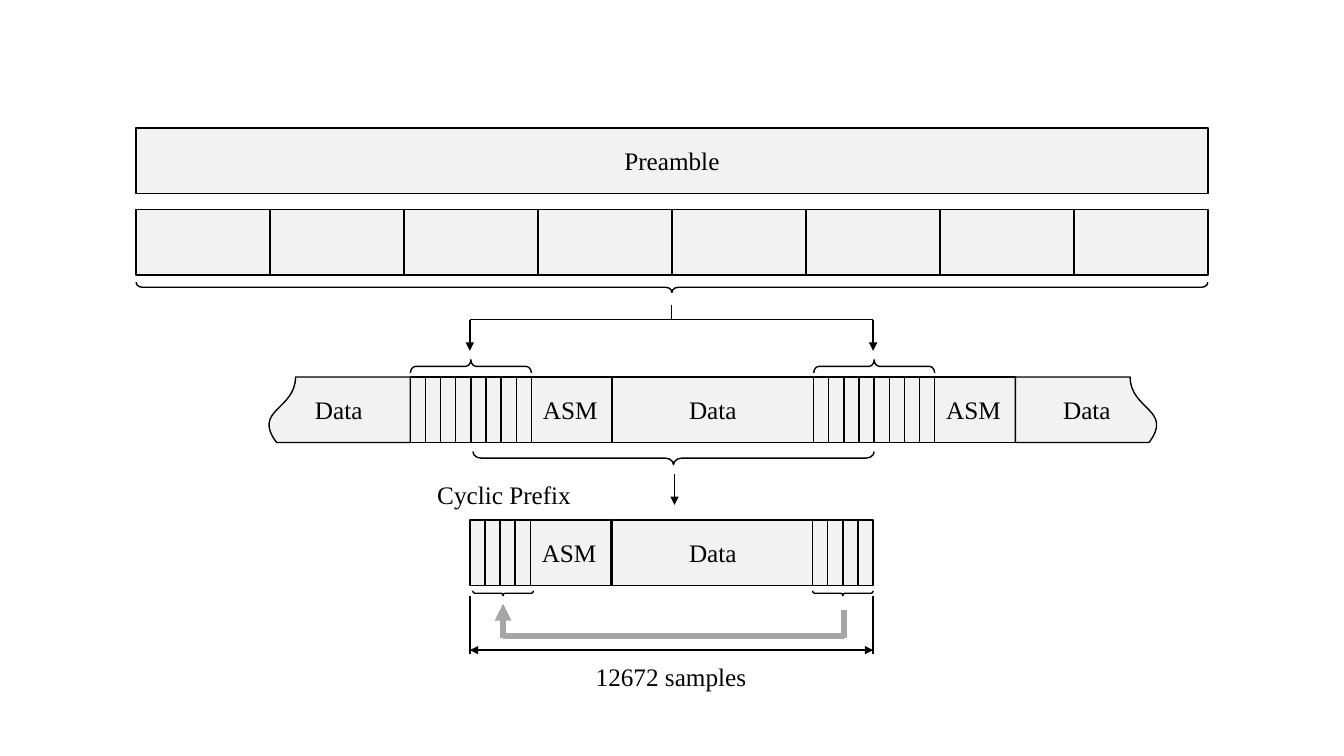
from lxml.etree import SubElement
from pptx import Presentation
from pptx.dml.color import RGBColor
from pptx.enum.shapes import MSO_CONNECTOR, MSO_SHAPE
from pptx.enum.text import MSO_ANCHOR, PP_ALIGN
from pptx.oxml.ns import qn
from pptx.util import Inches, Pt

BLACK = RGBColor(0x00, 0x00, 0x00)
LIGHT_GREY = RGBColor(0xF2, 0xF2, 0xF2)
MID_GREY = RGBColor(0xA6, 0xA6, 0xA6)
FONT = "Times New Roman"

BAR_HEIGHT = 0.65
STRIPE = 0.15
ASM_WIDTH = 0.83
DATA_WIDTH = 2
PERIOD = 4  # distance between two preambles in the frame


def write(shape, text):
    """Put one centred line of text in a shape."""
    frame = shape.text_frame
    frame.text = text
    paragraph = frame.paragraphs[0]
    paragraph.alignment = PP_ALIGN.CENTER
    font = paragraph.runs[0].font
    font.name, font.size = FONT, Pt(18)
    font.color.rgb = BLACK


def add_label(slide, left, top, width, text):
    box = slide.shapes.add_textbox(
        Inches(left), Inches(top), Inches(width), Inches(0.4))
    box.text_frame.word_wrap = True
    write(box, text)


def add_outline(slide, kind, left, top, width, height, fill=None):
    shape = slide.shapes.add_shape(
        kind, Inches(left), Inches(top), Inches(width), Inches(height))
    shape.shadow.inherit = False
    shape.line.color.rgb = BLACK
    shape.line.width = Pt(1)
    if fill is None:
        shape.fill.background()
    else:
        shape.fill.solid()
        shape.fill.fore_color.rgb = fill
    return shape


def add_turned(slide, kind, left, top, width, height, rotation, fill=None):
    """Add a quarter-turned shape that covers the given box once turned."""
    shift = (width - height) / 2
    shape = add_outline(slide, kind, left + shift, top - shift, height, width, fill)
    shape.rotation = rotation
    return shape


def add_bar(slide, left, top, width, text=""):
    bar = add_outline(slide, MSO_SHAPE.RECTANGLE, left, top, width, BAR_HEIGHT, LIGHT_GREY)
    if text:
        write(bar, text)
        bar.text_frame.vertical_anchor = MSO_ANCHOR.MIDDLE


def add_cells(slide, left, top, width, count):
    for index in range(count):
        add_bar(slide, left + index * width, top, width)


def add_brace(slide, left, top, width, height, curve, rotation=270):
    brace = add_turned(slide, MSO_SHAPE.LEFT_BRACE, left, top, width, height, rotation)
    brace.adjustments[0] = curve
    brace.adjustments[1] = 0.5


def add_line(slide, start, end, color=BLACK, width=1, ends=()):
    """Draw a straight line; ends may hold headEnd and tailEnd."""
    line = slide.shapes.add_connector(
        MSO_CONNECTOR.STRAIGHT, *(Inches(value) for value in (*start, *end)))
    line.line.color.rgb = color
    line.line.width = Pt(width)
    for end_name in ends:
        SubElement(line.line._get_or_add_ln(), qn(f"a:{end_name}"), type="triangle")
    SubElement(line._element.spPr, qn("a:effectLst"))


def add_preamble(slide, left, top, width):
    """Preamble bar, its eight parts and the brace below."""
    add_cells(slide, left, top + 0.81, width / 8, 8)
    add_bar(slide, left, top, width, "Preamble")
    add_brace(slide, left, top + 1.53, width, 0.1, 0.625)


def add_fork(slide, left, top, width):
    """Stem that splits into two arrows."""
    middle, bar_top = left + width / 2, top + 0.14
    add_line(slide, (middle, top), (middle, bar_top))
    add_line(slide, (left, bar_top), (left + width, bar_top))
    for x in (left, left + width):
        add_line(slide, (x, bar_top), (x, top + 0.45), ends=["tailEnd"])


def add_torn_data(slide, left, top, rotation, flipped=False):
    """Data piece with a wavy outer edge."""
    width = 1.42
    piece = add_turned(slide, MSO_SHAPE.FLOWCHART_DOCUMENT, left, top,
                       width, BAR_HEIGHT, rotation, LIGHT_GREY)
    if flipped:
        piece._element.spPr.find(qn("a:xfrm")).set("flipH", "1")
    add_label(slide, left + 0.2, top + 0.12, width - 0.4, "Data")


def add_frame(slide, left, top):
    """Data stream with two preambles; left is the first preamble's edge."""
    asm_left = left + 1.17
    data_left = asm_left + ASM_WIDTH
    add_bar(slide, data_left, top, DATA_WIDTH, "Data")
    for offset in (0, PERIOD):
        add_bar(slide, asm_left + offset, top, ASM_WIDTH, "ASM")
    add_torn_data(slide, data_left + PERIOD, top, 270)
    add_torn_data(slide, left - 1.42, top, 90, flipped=True)
    for offset in (0, PERIOD):
        add_cells(slide, left + offset, top, STRIPE, 8)
        add_brace(slide, left + offset, top - 0.17, 8 * STRIPE, 0.13, 0.398, 90)
    # Span of one symbol
    add_brace(slide, left + 0.62, top + 0.74, 3.98, 0.13, 0.625)
    middle = left + 2.62
    add_line(slide, (middle, top + 0.96), (middle, top + 1.27), ends=["tailEnd"])


def add_symbol(slide, left, top, width):
    """One symbol with its cyclic prefix, copy arrow and length."""
    right = left + width
    prefix_width = 4 * STRIPE
    add_label(slide, left - 0.43, top - 0.45, 1.54, "Cyclic Prefix")
    add_bar(slide, left + 0.57, top, ASM_WIDTH, "ASM")
    add_bar(slide, left + 1.41, top, DATA_WIDTH, "Data")
    for cells_left, brace_left in ((left, left + 0.03),
                                   (right - prefix_width, right - prefix_width)):
        add_cells(slide, cells_left, top, STRIPE, 4)
        add_brace(slide, brace_left, top + 0.7, prefix_width, 0.05, 0.398)
    # Copy arrow from the end to the prefix
    source, target, base = right - 0.29, left + 0.33, top + 1.15
    add_line(slide, (source, top + 0.89), (source, base + 0.02), MID_GREY, 4)
    add_line(slide, (source, base), (target, base), MID_GREY, 4)
    add_line(slide, (target, base + 0.02), (target, top + 0.83), MID_GREY, 4, ["tailEnd"])
    # Length of the symbol
    add_line(slide, (left, top + 1.29), (right, top + 1.29), ends=["headEnd", "tailEnd"])
    for x in (left, right):
        add_line(slide, (x, top + 0.75), (x, top + 1.33))
    add_label(slide, left + 1.08, top + 1.35, 1.83, "12672 samples")


def main():
    presentation = Presentation()
    presentation.slide_width = Inches(13.33)
    presentation.slide_height = Inches(7.5)
    slide = presentation.slides.add_slide(presentation.slide_layouts[6])
    add_preamble(slide, 1.35, 1.27, 10.63)
    add_frame(slide, 4.07, 3.74)
    add_fork(slide, 4.66, 3.03, PERIOD)
    add_symbol(slide, 4.66, 5.16, PERIOD)
    presentation.save("out.pptx")


if __name__ == "__main__":
    main()
